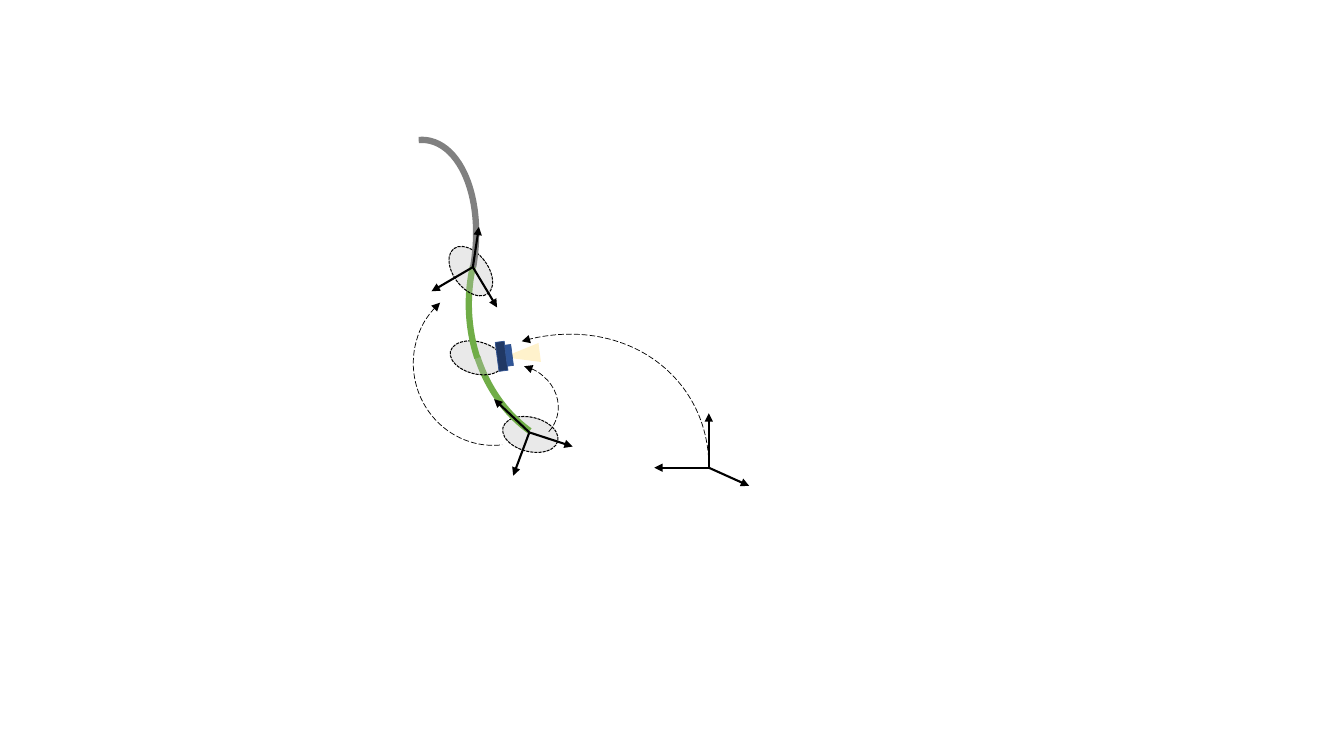
import pptx
import pptx.util
import pptx.dml.color
import pptx.enum.dml
import pptx.enum.shapes
import pptx.oxml.ns
from lxml import etree

Inches = pptx.util.Inches
RGBColor = pptx.dml.color.RGBColor
PRESET = pptx.enum.shapes.MSO_SHAPE
DASH = pptx.enum.dml.MSO_LINE
qn = pptx.oxml.ns.qn

BLACK = RGBColor(0x00, 0x00, 0x00)
GRAY = RGBColor(0x80, 0x80, 0x80)
DISK_GRAY = RGBColor(0xBF, 0xBF, 0xBF)
GREEN = RGBColor(0x70, 0xAD, 0x47)
NAVY = RGBColor(0x20, 0x38, 0x64)
BLUE = RGBColor(0x2F, 0x55, 0x97)
EDGE_BLUE = RGBColor(0x32, 0x54, 0x91)
BEAM_YELLOW = RGBColor(0xFF, 0xF2, 0xCC)
DISK_OPACITY = 34

BASE_DISK = ((4.98, 4.14, 0.56, 0.34), 193.9)
CAMERA_DISK = ((4.46, 3.39, 0.54, 0.32), 194)
TIP_DISK = ((4.39, 2.52, 0.56, 0.34), 52.9)

UPPER_BODY = ((4.42, 1.75, 2.97, 2.51), 90, True, (68.72, 91.71), GREEN)
LOWER_BODY = ((4.42, 1.76, 2.97, 2.51), 90, True, (43.72, 68.76), GREEN)
FREE_END = ((2.97, 1.86, 2.22, 1.26), 97.9, True, (158.09, 2.48), GRAY)

TRANSFORMS = [
    ((3.85, 3.38, 3.24, 2.85), 145.5, True, (199.24, 40.35), "tailEnd"),
    ((4.1, 2.81, 1.56, 1.61), 346.6, True, (178.04, 50.24), "headEnd"),
    ((4.65, 3.62, 0.89, 0.8), 13.4, False, (163.01, 14.78), "headEnd"),
]

FRAMES = [
    ((5.25, 4.29), [(5.09, 4.72), (5.68, 4.43), (4.9, 3.96)]),
    ((4.69, 2.65), [(4.75, 2.25), (4.28, 2.89), (4.93, 3.05)]),
    ((7.03, 4.64), [(7.43, 4.82), (6.49, 4.64), (7.03, 4.1)]),
]

CAMERA = [
    (PRESET.ISOSCELES_TRIANGLE, (5.08, 3.34, 0.19, 0.36), 262.6, BEAM_YELLOW, None),
    (PRESET.RECTANGLE, (4.93, 3.39, 0.09, 0.29), 352.6, NAVY, EDGE_BLUE),
    (PRESET.RECTANGLE, (5.02, 3.42, 0.06, 0.21), 352.6, BLUE, EDGE_BLUE),
]


def set_line(line, color, width, dash=None, arrow=None):
    line.color.rgb = color
    line.width = pptx.util.Pt(width)
    if dash:
        line.dash_style = dash
    if arrow:
        etree.SubElement(line._get_or_add_ln(), qn("a:" + arrow), type="triangle")


def place(slide, preset, box, rotation):
    shape = slide.shapes.add_shape(preset, *map(Inches, box))
    shape.rotation = rotation
    shape.shadow.inherit = False
    return shape


def add_arc(slide, box, rotation, flipped, sweep, color, width, dash=None, arrow=None):
    arc = place(slide, PRESET.ARC, box, rotation)
    arc.adjustments[0], arc.adjustments[1] = sweep
    if flipped:
        arc._element.spPr.find(qn("a:xfrm")).set("flipH", "1")
    arc.fill.background()
    set_line(arc.line, color, width, dash, arrow)


def add_body(slide, box, rotation, flipped, sweep, color):
    add_arc(slide, box, rotation, flipped, sweep, color, 4.5)


def add_disk(slide, box, rotation):
    disk = place(slide, PRESET.OVAL, box, rotation)
    disk.fill.solid()
    disk.fill.fore_color.rgb = DISK_GRAY
    tint = disk._element.spPr.find(qn("a:solidFill"))[0]
    etree.SubElement(tint, qn("a:alpha"), val=str(DISK_OPACITY * 1000))
    set_line(disk.line, BLACK, 0.75, DASH.SQUARE_DOT)


def add_axis(slide, origin, tip):
    axis = slide.shapes.add_connector(
        pptx.enum.shapes.MSO_CONNECTOR.STRAIGHT, *map(Inches, origin + tip))
    set_line(axis.line, BLACK, 1.5, arrow="tailEnd")
    etree.SubElement(axis._element.spPr, qn("a:effectLst"))


def main():
    deck = pptx.Presentation()
    deck.slide_width, deck.slide_height = Inches(13.33), Inches(7.5)
    slide = deck.slides.add_slide(deck.slide_layouts[6])

    add_disk(slide, *BASE_DISK)
    add_body(slide, *UPPER_BODY)
    for box, rotation, flipped, sweep, arrow in TRANSFORMS:
        add_arc(slide, box, rotation, flipped, sweep, BLACK, 0.5, DASH.LONG_DASH, arrow)
    add_disk(slide, *CAMERA_DISK)
    add_body(slide, *LOWER_BODY)
    add_disk(slide, *TIP_DISK)
    add_body(slide, *FREE_END)

    for origin, tips in FRAMES:
        for tip in tips:
            add_axis(slide, origin, tip)

    for preset, box, rotation, color, edge in CAMERA:
        part = place(slide, preset, box, rotation)
        part.fill.solid()
        part.fill.fore_color.rgb = color
        if edge:
            set_line(part.line, edge, 0.5)
        else:
            part.line.fill.background()

    deck.save("out.pptx")


if __name__ == "__main__":
    main()
